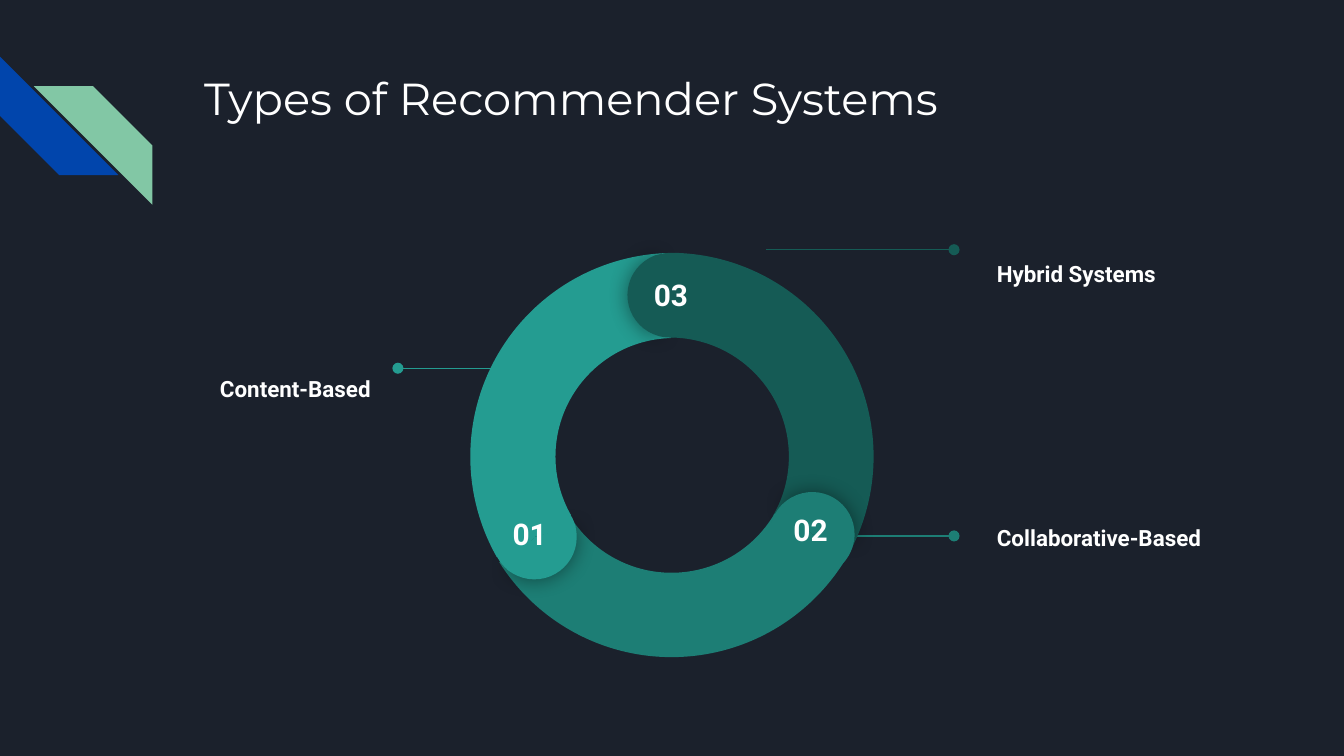
from lxml.etree import SubElement
from pptx import Presentation
from pptx.dml.color import RGBColor
from pptx.enum.shapes import MSO_CONNECTOR as Connector, MSO_SHAPE as Preset
from pptx.enum.text import MSO_ANCHOR as Anchor, PP_ALIGN as Align
from pptx.oxml.ns import qn
from pptx.util import Cm, Pt

COLORS = {
    "background": "1B212C",
    "text": "FFFFFF",
    "blue": "0145AC",
    "mint": "82C7A5",
    "light": "249C91",
    "medium": "1D7E75",
    "dark": "155B55",
    "shadow": "000000",
}

TITLE = {"font": {"name": "Montserrat", "size": Pt(24)}}
LABEL = {
    "font": {"name": "Roboto", "size": Pt(12), "bold": True},
    "paragraph": {"space_after": Pt(16)},
    "frame": {"vertical_anchor": Anchor.MIDDLE},
}
RIGHT_LABEL = {**LABEL, "paragraph": {"space_after": Pt(16), "alignment": Align.RIGHT}}
NUMBER = {
    "font": {"name": "Roboto", "size": Pt(16), "bold": True},
    "paragraph": {"alignment": Align.CENTER},
}

STRIPE_SIZE, RING_SIZE, CAP_SIZE = 2.24, 7.7, 1.6
LABEL_SIZE = (5.89, 3.58)
NUMBER_SIZE = (1.42, 0.74)

# text, format, label corner, line start x, line end x, line y, colour
CALLOUTS = [
    ("Content-Based", RIGHT_LABEL, (1.37, 5.56), 9.27, 7.52, 6.96, "light"),
    ("Hybrid Systems", LABEL, (18.59, 3.38), 14.48, 18.03, 4.72, "dark"),
    ("Collaborative-Based", LABEL, (18.59, 8.38), 14.48, 18.03, 10.13, "medium"),
]
# corner, rotation, end angle and thickness adjustments, colour
ARCS = [
    ((8.81, 4.78), 60, (197.82, 0.208), "dark"),
    ((8.84, 4.72), 180, (196.63, 0.207), "medium"),
    ((8.89, 4.78), 300, (197.03, 0.209), "light"),
]
# corner, rotation, colour
CAPS = [
    ((9.3, 9.35), 60, "light"),
    ((11.86, 4.78), 180, "dark"),
    ((14.55, 9.3), 300, "medium"),
]
NUMBERS = [("03 ", (12.04, 4.98)), ("01 ", (9.37, 9.5)), ("02 ", (14.68, 9.42))]


def rgb(name):
    return RGBColor.from_string(COLORS[name])


def apply(target, values):
    for name, value in values.items():
        setattr(target, name, value)


class SlideBuilder:
    def __init__(self, slide):
        self.slide = slide
        background = slide.background.fill
        background.solid()
        background.fore_color.rgb = rgb("background")

    def text(self, text, corner, size, style):
        box = self.slide.shapes.add_textbox(*map(Cm, (*corner, *size)))
        frame = box.text_frame
        margins = dict.fromkeys(
            ("margin_left", "margin_top", "margin_right", "margin_bottom"), Cm(0.25)
        )
        apply(frame, {"word_wrap": True, **margins, **style.get("frame", {})})
        paragraph = frame.paragraphs[0]
        apply(paragraph, style.get("paragraph", {}))
        run = paragraph.add_run()
        run.text = text
        apply(run.font, style["font"])
        run.font.color.rgb = rgb("text")

    def shape(self, preset, corner, size, color, adjustments, rotation=0):
        shape = self.slide.shapes.add_shape(preset, *map(Cm, (*corner, size, size)))
        for index, value in enumerate(adjustments):
            shape.adjustments[index] = value
        shape.rotation = rotation
        shape.shadow.inherit = False
        shape.fill.solid()
        shape.fill.fore_color.rgb = rgb(color)
        shape.line.fill.background()
        return shape

    def cap(self, corner, rotation, color):
        """Round an arc's end with a shadowed front half and a plain back half."""
        front = self.shape(Preset.PIE, corner, CAP_SIZE, color, (61.9, 149.96),
                           (rotation + 180.65) % 360)
        self.glow(front)
        self.shape(Preset.PIE, corner, CAP_SIZE, color, (40.28, 171.84), rotation)

    def glow(self, shape):
        """Add a soft shadow without offset."""
        effects = shape.element.spPr.find(qn("a:effectLst"))
        shadow = SubElement(effects, qn("a:outerShdw"), blurRad=str(Pt(11.2)),
                            dist="0", dir="0", algn="ctr", rotWithShape="0")
        color = SubElement(shadow, qn("a:srgbClr"), val=COLORS["shadow"])
        SubElement(color, qn("a:alpha"), val="43000")

    def dotted_end_line(self, start, end, y, color):
        line = self.slide.shapes.add_connector(
            Connector.STRAIGHT, *map(Cm, (start, y, end, y))
        )
        line.line.width = Pt(0.75)
        line.line.color.rgb = rgb(color)
        properties = line.element.spPr
        SubElement(properties.find(qn("a:ln")), qn("a:tailEnd"), type="oval")
        SubElement(properties, qn("a:effectLst"))


def main():
    presentation = Presentation()
    presentation.slide_width, presentation.slide_height = Cm(25.4), Cm(14.29)
    builder = SlideBuilder(presentation.slides.add_slide(presentation.slide_layouts[6]))

    builder.shape(Preset.DIAGONAL_STRIPE, (0, 1.07), STRIPE_SIZE, "blue", (0.5,), 270)
    mint = builder.shape(Preset.DIAGONAL_STRIPE, (0.64, 1.63), STRIPE_SIZE, "mint", (0.5,))
    mint.element.spPr.find(qn("a:xfrm")).set("flipH", "1")
    builder.text("Types of Recommender Systems", (3.61, 1.09), (19.56, 2.54), TITLE)

    for text, style, corner, start, end, y, color in CALLOUTS:
        builder.text(text, corner, LABEL_SIZE, style)
        builder.dotted_end_line(start, end, y, color)
    for corner, rotation, adjustments, color in ARCS:
        builder.shape(Preset.BLOCK_ARC, corner, RING_SIZE, color,
                      (126.23, *adjustments), rotation)
    for corner, rotation, color in CAPS:
        builder.cap(corner, rotation, color)
    for text, corner in NUMBERS:
        builder.text(text, corner, NUMBER_SIZE, NUMBER)

    presentation.save("out.pptx")


if __name__ == "__main__":
    main()
